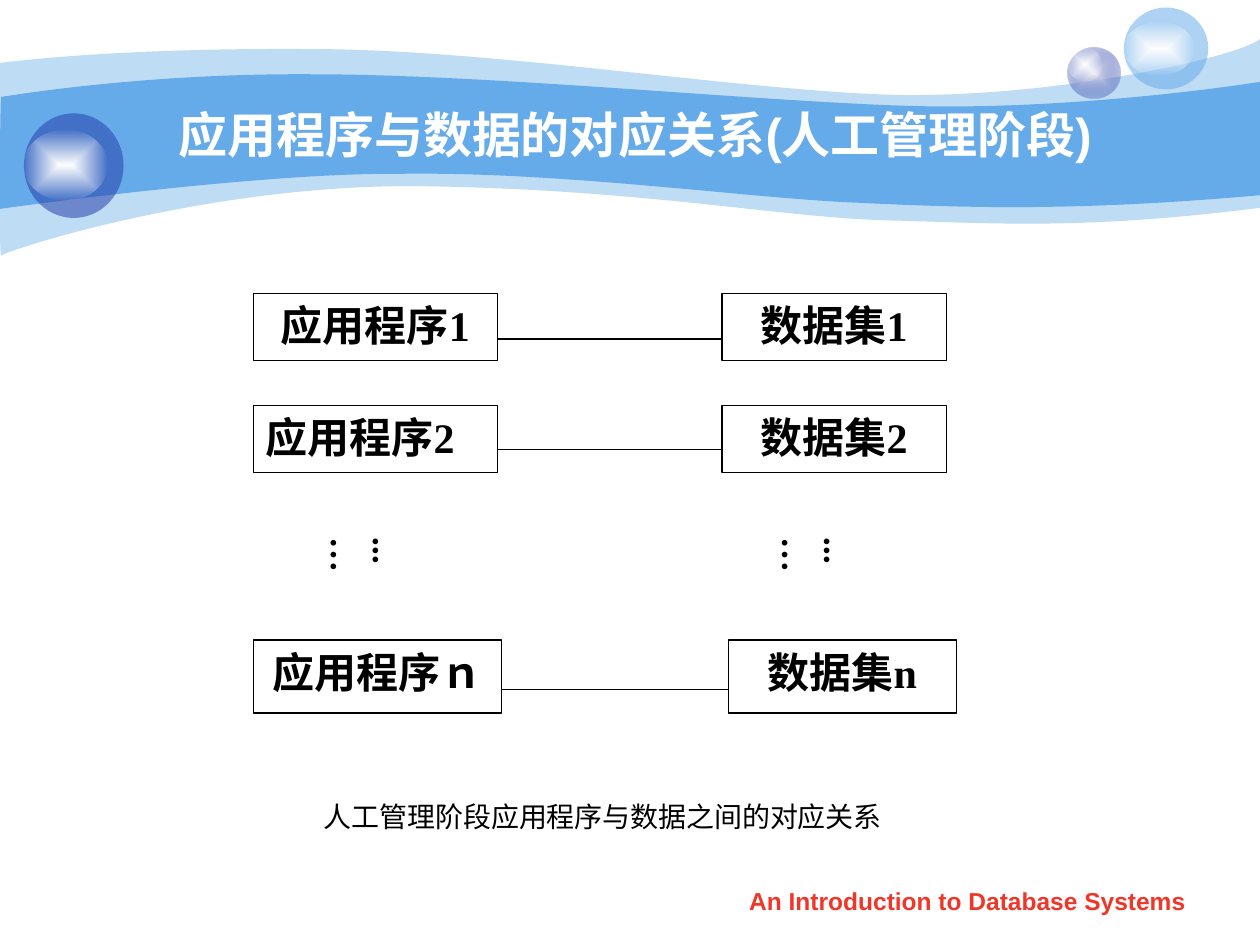
from lxml.etree import SubElement
from pptx import Presentation
from pptx.dml.color import RGBColor
from pptx.enum.shapes import MSO_CONNECTOR, MSO_SHAPE
from pptx.enum.text import MSO_ANCHOR, MSO_AUTO_SIZE, PP_ALIGN
from pptx.oxml import parse_xml
from pptx.oxml.ns import nsdecls, qn
from pptx.util import Inches, Pt

SERIF = "Times New Roman"
SKY = "65AAE9"
NAVY = "233DA9"
WHITE = "FFFFFF"
BLACK = "000000"

OUTER_WAVE = [
    [(0, 0.5), (0.24, 0.47), (1.07, 0.38), (2.47, 0.39),
     (3.86, 0.39), (5.75, 0.7), (6.99, 0.75),
     (8.22, 0.8), (9.8, 0.47), (10, 0.31)],
    [(10, 1.65), (8.58, 1.83), (7.87, 1.77), (7.05, 1.75),
     (6.22, 1.73), (5.15, 1.51), (3.43, 1.48),
     (1.72, 1.44), (0.04, 1.99), (0.01, 2.03),
     (-0.01, 2.08), (0, 0.75), (0, 0.5)],
]
INNER_WAVE = [
    [(0.01, 0.77), (0.02, 0.77), (1.1, 0.58), (2.48, 0.59),
     (3.86, 0.59), (5.95, 0.8), (7.18, 0.84),
     (8.41, 0.88), (9.76, 0.69), (10, 0.65)],
    [(10, 1.55), (8.53, 1.68), (7.65, 1.65), (6.82, 1.61),
     (5.99, 1.58), (4.47, 1.36), (3.17, 1.38),
     (2.03, 1.37), (-0.02, 1.66), (-0.01, 1.66),
     (0, 1.66), (0, 0.77), (0.01, 0.77)],
]


def color(value):
    return RGBColor.from_string(value)


def fill_solid(shape, value, opacity=100):
    shape.fill.solid()
    shape.fill.fore_color.rgb = color(value)
    if opacity < 100:
        tint = shape._element.spPr.find(qn("a:solidFill"))[0]
        SubElement(tint, qn("a:alpha"), val=str(opacity * 1000))


def fill_glow(shape, center, edge, opacity):
    shape.fill.background()
    properties = shape._element.spPr
    glow = parse_xml(
        f'<a:gradFill {nsdecls("a")} rotWithShape="1"><a:gsLst>'
        f'<a:gs pos="0"><a:srgbClr val="{center}"/></a:gs>'
        f'<a:gs pos="100000"><a:srgbClr val="{edge}">'
        f'<a:alpha val="{opacity * 1000}"/></a:srgbClr></a:gs></a:gsLst>'
        '<a:path path="shape"><a:fillToRect l="50000" t="50000" '
        'r="50000" b="50000"/></a:path></a:gradFill>')
    properties.replace(properties.find(qn("a:noFill")), glow)


def bend(segments):
    for first in range(0, len(segments), 3):
        group = segments[first:first + 3]
        curve = parse_xml(f'<a:cubicBezTo {nsdecls("a")}/>')
        group[0].addprevious(curve)
        for segment in group:
            curve.append(segment[0])
            segment.getparent().remove(segment)


def add_wave(page, edges, opacity):
    points = [(Inches(x), Inches(y)) for edge in edges for x, y in edge]
    builder = page.shapes.build_freeform(*points[0], scale=1.0)
    builder.add_line_segments(points[1:], close=True)
    wave = builder.convert_to_shape()
    segments = list(wave._element.iter(qn("a:lnTo")))
    turn = len(edges[0])
    bend(segments[:turn - 1])
    bend(segments[turn:])
    wave.shadow.inherit = False
    wave.line.fill.background()
    fill_solid(wave, SKY, opacity)


def add_plain(page, kind, place):
    shape = page.shapes.add_shape(kind, *map(Inches, place))
    shape.shadow.inherit = False
    return shape


def add_ellipse(page, place):
    ellipse = add_plain(page, MSO_SHAPE.OVAL, place)
    ellipse.line.fill.background()
    return ellipse


def add_highlight(page, place):
    fill_glow(add_ellipse(page, place), WHITE, WHITE, 0)


def add_orb(page, place, highlight, value):
    fill_solid(add_ellipse(page, place), value, 53)
    add_highlight(page, highlight)


def add_span(para, text, size, value=BLACK, font=SERIF, bold=True):
    span = para.add_run()
    span.text = text
    span.font.size = Pt(size)
    span.font.name = font
    span.font.bold = bold
    span.font.color.rgb = color(value)


def write(box, text, size, align=PP_ALIGN.CENTER, **style):
    para = box.text_frame.paragraphs[0]
    para.alignment = align
    add_span(para, text, size, **style)


def add_text(page, place, text, size, **style):
    box = page.shapes.add_textbox(*map(Inches, place))
    box.text_frame.word_wrap = True
    write(box, text, size, **style)
    return box


def add_node(page, place, text, align=PP_ALIGN.CENTER):
    node = add_plain(page, MSO_SHAPE.RECTANGLE, place)
    fill_solid(node, WHITE)
    node.line.color.rgb = color(BLACK)
    node.line.width = Pt(0.75)
    node.text_frame.vertical_anchor = MSO_ANCHOR.TOP
    write(node, text, 24, align=align)


def add_link(page, left, right, y):
    link = page.shapes.add_connector(
        MSO_CONNECTOR.STRAIGHT, Inches(left), Inches(y), Inches(right), Inches(y))
    link.line.color.rgb = color(BLACK)
    link.line.width = Pt(0.75)
    SubElement(link._element.spPr, qn("a:effectLst"))


def add_pair(page, top, height, program, data, link_y):
    program_left, program_width, program_text, align = program
    data_left, data_width, data_text = data
    add_node(page, (program_left, top, program_width, height), program_text, align)
    add_node(page, (data_left, top, data_width, height), data_text)
    add_link(page, program_left + program_width, data_left, link_y)


def add_ellipsis(page, left):
    box = add_text(page, (left, 4.17, 0.53, 0.67), "...…", 20, align=PP_ALIGN.LEFT)
    box.text_frame.auto_size = MSO_AUTO_SIZE.SHAPE_TO_FIT_TEXT
    box.text_frame._txBody.bodyPr.set("vert", "eaVert")
    box.text_frame.paragraphs[0].space_before = Pt(10)


def add_caption(page):
    box = add_text(page, (2.46, 6.27, 4.71, 0.4),
                   "人工管理阶段应用程序与数据之间的对应关系", 16, bold=False)
    box.text_frame.word_wrap = False
    box.text_frame.auto_size = MSO_AUTO_SIZE.SHAPE_TO_FIT_TEXT
    para = box.text_frame.paragraphs[0]
    add_span(para, " ", 18)
    properties = para._p.get_or_add_pPr()
    properties.set("marL", str(Inches(0.38)))
    properties.set("indent", str(Inches(-0.38)))


def main():
    deck = Presentation()
    deck.slide_width, deck.slide_height = Inches(10), Inches(7.5)
    page = deck.slides.add_slide(deck.slide_layouts[6])

    add_wave(page, OUTER_WAVE, 41)
    add_wave(page, INNER_WAVE, 100)
    fill_glow(add_ellipse(page, (8.47, 0.38, 0.42, 0.4)), "E1E2ED", NAVY, 31)
    add_highlight(page, (8.47, 0.38, 0.28, 0.27))
    add_orb(page, (8.92, 0.06, 0.67, 0.65), (8.92, 0.17, 0.56, 0.43), SKY)
    add_orb(page, (0.19, 0.9, 0.79, 0.83), (0.19, 1.03, 0.66, 0.56), NAVY)

    add_text(page, (5.71, 6.98, 3.94, 0.35), "An Introduction to Database Systems", 14,
             value="F03628", font="Arial")
    title = add_text(page, (1, 0.75, 8.08, 0.62), "应用程序与数据的对应关系(人工管理阶段)", 28,
                     value=WHITE, font="Arial")
    title.text_frame.vertical_anchor = MSO_ANCHOR.MIDDLE

    center, justify = PP_ALIGN.CENTER, PP_ALIGN.JUSTIFY
    add_pair(page, 2.33, 0.53, (2.01, 1.94, "应用程序1", center), (5.73, 1.78, "数据集1"), 2.69)
    add_pair(page, 3.22, 0.53, (2.01, 1.94, "应用程序2", justify), (5.73, 1.78, "数据集2"), 3.57)
    add_pair(page, 5.08, 0.58, (2.01, 1.97, "应用程序ｎ", center), (5.78, 1.81, "数据集n"), 5.47)
    for left in (2.76, 6.34):
        add_ellipsis(page, left)
    add_caption(page)

    deck.save("out.pptx")


if __name__ == "__main__":
    main()
